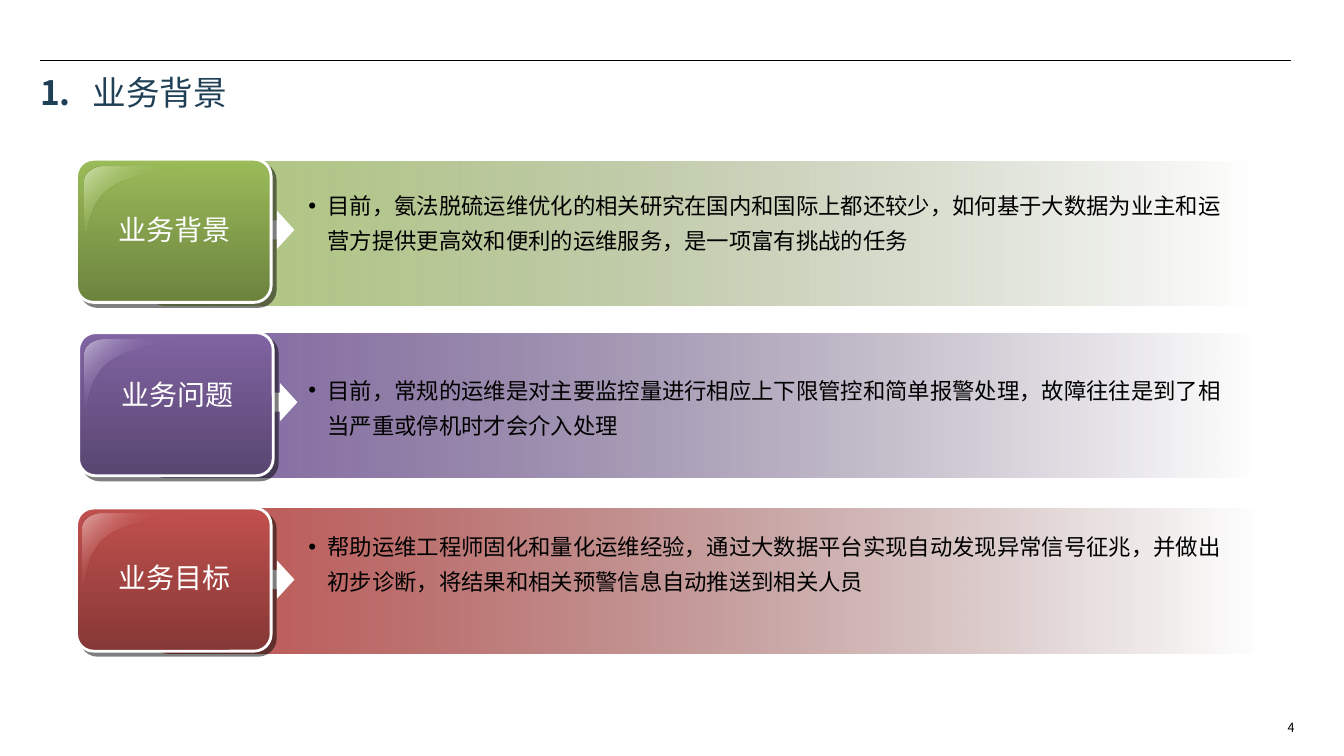
from lxml.etree import SubElement
from pptx import Presentation
from pptx.dml.color import RGBColor
from pptx.enum.shapes import MSO_CONNECTOR, MSO_SHAPE
from pptx.enum.text import MSO_ANCHOR, PP_ALIGN
from pptx.oxml.ns import qn
from pptx.util import Inches, Pt

FONT = "Noto Sans CJK SC"
BLACK = RGBColor(0x00, 0x00, 0x00)
WHITE = RGBColor(0xFE, 0xFE, 0xFE)
NAVY = RGBColor(0x20, 0x40, 0x56)
GREEN, GREEN_DEEP = RGBColor(0x9B, 0xBB, 0x59), RGBColor(0x6C, 0x83, 0x3E)
GREEN_DARK, GREEN_PALE = RGBColor(0x48, 0x57, 0x29), RGBColor(0xCE, 0xDE, 0xAE)
PURPLE, PURPLE_DEEP = RGBColor(0x80, 0x64, 0xA2), RGBColor(0x59, 0x46, 0x71)
PURPLE_DARK, PURPLE_PALE = RGBColor(0x3B, 0x2E, 0x4B), RGBColor(0xC1, 0xB4, 0xD2)
RED, RED_DEEP = RGBColor(0xC0, 0x50, 0x4D), RGBColor(0x86, 0x38, 0x36)
RED_DARK, RED_PALE = RGBColor(0x59, 0x25, 0x24), RGBColor(0xE0, 0xAA, 0xA8)


def fill_gradient(shape, angle, stops):
    """Fill with (position %, colour, opacity %) stops, clockwise angle in degrees."""
    shape.shadow.inherit = False
    shape.fill.gradient()
    shape.fill.gradient_angle = (360 - angle) % 360
    stop_list = shape._element.spPr.find(qn("a:gradFill")).find(qn("a:gsLst"))
    for old_stop in list(stop_list):
        stop_list.remove(old_stop)
    for position, color, opacity in stops:
        stop = SubElement(stop_list, qn("a:gs"), pos=str(position * 1000))
        color_element = SubElement(stop, qn("a:srgbClr"), val=str(color))
        if opacity < 100:
            SubElement(color_element, qn("a:alpha"), val=str(opacity * 1000))


def add_text(left, top, width, height, text, size, color):
    """Add a wrapped text box and return its text frame and paragraph."""
    box = slide.shapes.add_textbox(Inches(left), Inches(top), Inches(width), Inches(height))
    frame = box.text_frame
    frame.word_wrap = True
    paragraph = frame.paragraphs[0]
    run = paragraph.add_run()
    run.text = text
    run.font.size, run.font.name, run.font.color.rgb = Pt(size), FONT, color
    SubElement(run._r.get_or_add_rPr(), qn("a:ea"), typeface=FONT)
    return frame, paragraph


presentation = Presentation()
presentation.slide_width, presentation.slide_height = Inches(13.33), Inches(7.5)
slide = presentation.slides.add_slide(presentation.slide_layouts[6])

# Header rule
rule = slide.shapes.add_connector(
    MSO_CONNECTOR.STRAIGHT, Inches(0.4), Inches(0.6), Inches(12.8), Inches(0.6))
rule.line.color.rgb, rule.line.width = BLACK, Pt(0.75)
SubElement(rule._element.spPr, qn("a:effectLst"))

# Title: bold number, then the heading at the hanging indent
frame, title = add_text(0.3, 0.63, 6.52, 0.62, "1.", 24, NAVY)
frame.vertical_anchor = MSO_ANCHOR.MIDDLE
title.line_spacing, title.space_before = 0.9, Pt(7.5)
title_properties = title._p.get_or_add_pPr()
title_properties.set("marL", str(Inches(0.52)))
title_properties.set("indent", str(-Inches(0.52)))
title.runs[0].font.bold = True
heading = title.add_run()
heading.text = "\t业务背景"
heading.font.size, heading.font.name, heading.font.color.rgb = Pt(24), FONT, NAVY
SubElement(heading._r.get_or_add_rPr(), qn("a:ea"), typeface=FONT)

# Slide number
frame, number = add_text(12.54, 7.14, 0.53, 0.2, "4", 9, BLACK)
frame.margin_top = frame.margin_bottom = 0
number.alignment, number.space_before = PP_ALIGN.CENTER, Pt(1.8)

# Outline of the tile's gloss: cubic curves from its top left corner, in inches
GLOSS_CURVES = [
    ((0.19, 0), (0.09, 0), (0, 0.07), (0, 0.14)),
    ((0, 0.7), (0.04, 0.71), (0.02, 0.37), (0.26, 0.21)),
    ((0.26, 0.21), (0.5, 0.05), (0.96, 0.04), (0.95, 0)),
]
STEPS = 12
gloss_points = []
for start, control_1, control_2, end in GLOSS_CURVES:
    for step in range(STEPS + 1):
        t = step / STEPS
        weights = ((1 - t) ** 3, 3 * t * (1 - t) ** 2, 3 * t * t * (1 - t), t ** 3)
        curve = (start, control_1, control_2, end)
        gloss_points.append(tuple(
            sum(weight * point[axis] for weight, point in zip(weights, curve))
            for axis in (0, 1)))

# Rows: colours, bar opacity, then (left, top) of bar, arrow, tile, gloss, label; top of body
ROWS = [
    (GREEN, GREEN_DEEP, GREEN_DARK, GREEN_PALE, 80,
     (1.46, 1.6), (2.47, 2.09), (0.76, 1.58), (0.84, 1.65), (0.74, 2.06), 1.78, "业务背景",
     "目前，氨法脱硫运维优化的相关研究在国内和国际上都还较少，如何基于大数据为业主和运营方提供更高效和便利的运维服务，是一项富有挑战的任务"),
    (PURPLE, PURPLE_DEEP, PURPLE_DARK, PURPLE_PALE, 100,
     (1.46, 3.31), (2.5, 3.8), (0.78, 3.3), (0.84, 3.37), (0.77, 3.7), 3.61, "业务问题",
     "目前，常规的运维是对主要监控量进行相应上下限管控和简单报警处理，故障往往是到了相当严重或停机时才会介入处理"),
    (RED, RED_DEEP, RED_DARK, RED_PALE, 100,
     (1.5, 5.05), (2.47, 5.56), (0.76, 5.04), (0.82, 5.1), (0.74, 5.51), 5.16, "业务目标",
     "帮助运维工程师固化和量化运维经验，通过大数据平台实现自动发现异常信号征兆，并做出初步诊断，将结果和相关预警信息自动推送到相关人员"),
]

for (base, deep, dark, pale, opacity, bar_at, arrow_at, tile_at, gloss_at, label_at,
     body_top, label_text, body_text) in ROWS:
    # Fading bar
    bar = slide.shapes.add_shape(
        MSO_SHAPE.ROUNDED_RECTANGLE, *map(Inches, bar_at), Inches(11.02), Inches(1.43))
    bar.adjustments[0] = 0.115
    fill_gradient(bar, 0, [(0, base, opacity), (100, dark, 0)])
    bar.line.fill.background()

    # Arrow from tile to text
    arrow = slide.shapes.add_shape(
        MSO_SHAPE.RIGHT_ARROW, *map(Inches, arrow_at), Inches(0.45), Inches(0.38))
    arrow.adjustments[1] = 0.456
    arrow.shadow.inherit = False
    arrow.fill.solid()
    arrow.fill.fore_color.rgb = WHITE
    arrow.line.fill.background()

    # Tile with a hard shadow
    tile = slide.shapes.add_shape(
        MSO_SHAPE.ROUNDED_RECTANGLE, *map(Inches, tile_at), Inches(1.93), Inches(1.42))
    tile.adjustments[0] = 0.119
    fill_gradient(tile, 90, [(0, base, 100), (100, deep, 100)])
    tile.line.color.rgb, tile.line.width = WHITE, Pt(2)
    shadow = SubElement(tile._element.spPr.find(qn("a:effectLst")), qn("a:outerShdw"),
                        blurRad="0", dist=str(Pt(4.2)), dir=str(45 * 60000), rotWithShape="0")
    shadow_color = SubElement(shadow, qn("a:srgbClr"), val=str(BLACK))
    SubElement(shadow_color, qn("a:alpha"), val="50000")

    # Gloss
    outline = [(Inches(gloss_at[0] + x), Inches(gloss_at[1] + y)) for x, y in gloss_points]
    builder = slide.shapes.build_freeform(*outline[0])
    builder.add_line_segments(outline[1:], close=True)
    gloss = builder.convert_to_shape()
    fill_gradient(gloss, 45, [(0, pale, 100), (50, base, 0), (100, pale, 100)])
    gloss.line.fill.background()

    # Bulleted body text
    frame, body = add_text(2.96, body_top, 9.41, 0.8, body_text, 16, BLACK)
    body.line_spacing = 1.3
    body_properties = body._p.get_or_add_pPr()
    body_properties.set("marL", str(Inches(0.19)))
    body_properties.set("indent", str(-Inches(0.19)))
    SubElement(body_properties, qn("a:buFont"), typeface="Arial")
    SubElement(body_properties, qn("a:buChar"), char="•")

    # Tile label
    frame, label = add_text(*label_at, 1.98, 0.44, label_text, 20, WHITE)
    label.alignment = PP_ALIGN.CENTER

presentation.save("out.pptx")
